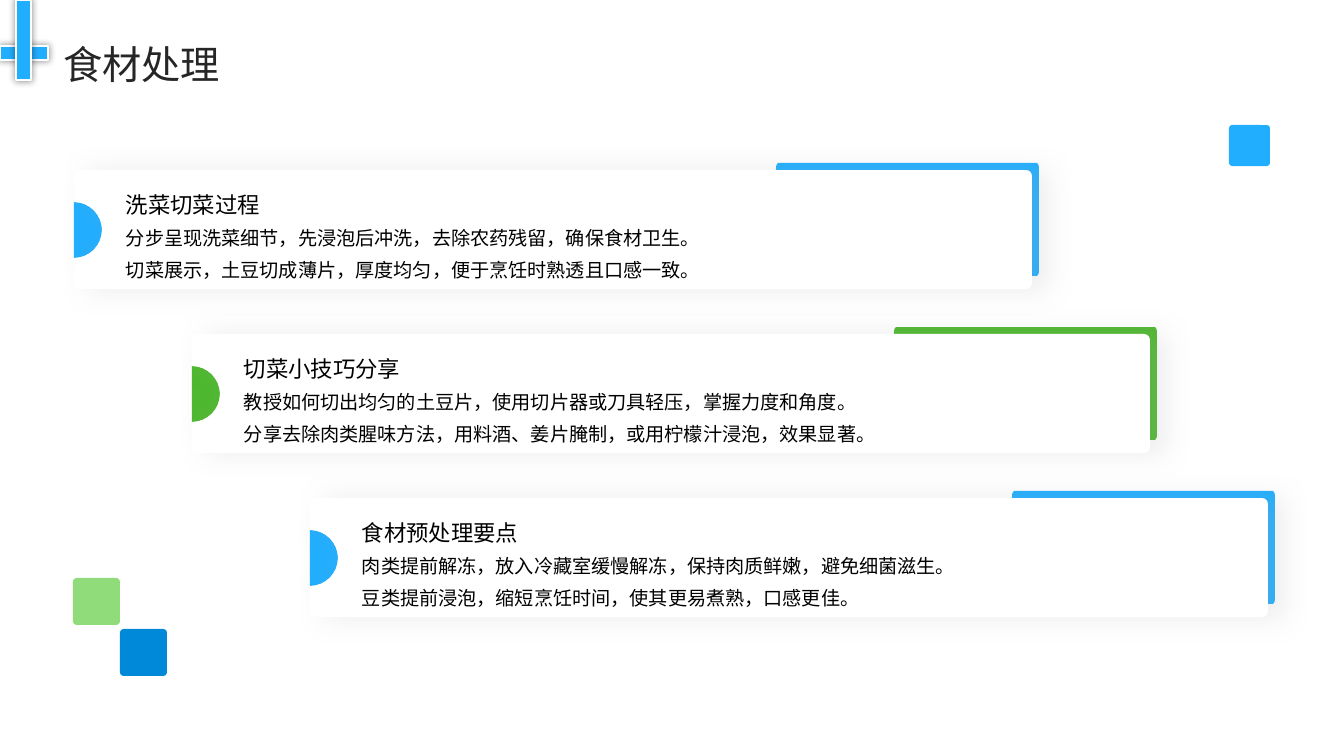
"""Builds the ingredient preparation slide with three stepped cards."""
import itertools
import math
from dataclasses import dataclass

import lxml.etree
import pptx
import pptx.dml.color
import pptx.enum.shapes
import pptx.enum.text
import pptx.oxml.ns
import pptx.util

TITLE = "食材处理"
CARDS = [
    ("洗菜切菜过程", "blue",
     ["分步呈现洗菜细节，先浸泡后冲洗，去除农药残留，确保食材卫生。",
      "切菜展示，土豆切成薄片，厚度均匀，便于烹饪时熟透且口感一致。"]),
    ("切菜小技巧分享", "green",
     ["教授如何切出均匀的土豆片，使用切片器或刀具轻压，掌握力度和角度。",
      "分享去除肉类腥味方法，用料酒、姜片腌制，或用柠檬汁浸泡，效果显著。"]),
    ("食材预处理要点", "blue",
     ["肉类提前解冻，放入冷藏室缓慢解冻，保持肉质鲜嫩，避免细菌滋生。",
      "豆类提前浸泡，缩短烹饪时间，使其更易煮熟，口感更佳。"]),
]
SQUARES = [(1229, 125, 41, "blue"), (73, 578, 47, "light_green"), (120, 629, 47, "dark_blue")]
CROSS_BARS = [(0, 46, 48, 14), (16, 0, 15, 80)]
CARD_LEFT, CARD_TOP, STEP_X, STEP_Y = 74, 170, 118, 164


@dataclass(frozen=True)
class Theme:
    """Holds the colours, font and type sizes."""
    blue: str = "22AEFF"
    green: str = "4EB830"
    light_green: str = "90DC7B"
    dark_blue: str = "0089D9"
    white: str = "FFFFFF"
    black: str = "000000"
    heading: str = "262626"
    card_shadow: str = "A6A6A6"
    font: str = "Noto Sans CJK SC"
    title_size: float = 28
    card_title_size: float = 16
    body_size: float = 13.7


THEME = Theme()
CARD_SHADOW = (THEME.card_shadow, 20, 20, 10)
BAR_SHADOW = (THEME.black, 40, 5, 0)
qn = pptx.oxml.ns.qn


def px(value):
    """Turns px into EMU."""
    return pptx.util.Emu(round(value * 914400 / 100.8))


def rgb(color):
    """Returns a colour object."""
    return pptx.dml.color.RGBColor.from_string(color)


def arc(center_x, center_y, radius_x, radius_y, *angles):
    """Lists a start point and one cubic curve for each quarter turn between the angles."""
    def at(angle, pull=0):
        cosine, sine = math.cos(math.radians(angle)), math.sin(math.radians(angle))
        return (center_x + radius_x * (cosine - pull * sine),
                center_y + radius_y * (sine + pull * cosine))

    segments = [(at(angles[0]),)]
    for start, end in itertools.pairwise(angles):
        pull = math.copysign(0.55, end - start)
        segments.append((at(start, pull), at(end, -pull), at(end)))
    return segments


def notched_panel(left, top, width, height, corner, notch, notch_center):
    """Lists the outline of a rounded panel with a half-round notch at its left."""
    corner_x, corner_y = corner
    near_x, far_x = left + corner_x, left + width - corner_x
    near_y, far_y = top + corner_y, top + height - corner_y
    return (arc(near_x, near_y, *corner, 180, 270) + arc(far_x, near_y, *corner, 270, 360)
            + arc(far_x, far_y, *corner, 0, 90) + arc(near_x, far_y, *corner, 90, 180)
            + arc(left, top + notch_center, *notch, 90, 0, -90))


def paint(shape, color, shadow=None, line=None):
    """Sets the fill, outline and shadow of a shape."""
    shape.fill.solid()
    shape.fill.fore_color.rgb = rgb(color)
    if line:
        shape.line.color.rgb = rgb(line)
        shape.line.width = pptx.util.Pt(2)
    else:
        shape.line.fill.background()
    shape.shadow.inherit = False
    if shadow:
        shadow_color, opacity, blur, distance = shadow
        effects = shape.element.spPr.find(qn("a:effectLst"))
        outer = lxml.etree.SubElement(
            effects, qn("a:outerShdw"), blurRad=str(pptx.util.Pt(blur)),
            dist=str(pptx.util.Pt(distance)), dir="0", algn="ctr", rotWithShape="0")
        tint = lxml.etree.SubElement(outer, qn("a:srgbClr"), val=shadow_color)
        lxml.etree.SubElement(tint, qn("a:alpha"), val=str(opacity * 1000))


def add_outline(slide, segments, color, shadow=None):
    """Draws a closed freeform, turning each three-point segment into a curve."""
    points = [(px(x), px(y)) for x, y in itertools.chain(*segments)]
    builder = slide.shapes.build_freeform(*points[0], scale=1.0)
    builder.add_line_segments(points[1:], close=True)
    shape = builder.convert_to_shape()
    lines = iter(list(shape.element.iter(qn("a:lnTo"))))
    for segment in segments[1:]:
        first, *others = itertools.islice(lines, len(segment))
        if others:
            first.tag = qn("a:cubicBezTo")
            for other in others:
                first.append(other[0])
                other.getparent().remove(other)
    paint(shape, color, shadow)


def add_box(slide, kind, left, top, width, height, color, shadow=None, line=None):
    """Draws a preset shape."""
    shape = slide.shapes.add_shape(kind, px(left), px(top), px(width), px(height))
    paint(shape, color, shadow, line)
    return shape


def write(shape, lines, size, color, spacing, anchor):
    """Writes lines into one paragraph without insets."""
    frame = shape.text_frame
    frame.auto_size = pptx.enum.text.MSO_AUTO_SIZE.NONE
    frame.word_wrap = True
    frame.vertical_anchor = anchor
    frame.margin_left = frame.margin_right = frame.margin_top = frame.margin_bottom = 0
    paragraph = frame.paragraphs[0]
    paragraph.alignment = pptx.enum.text.PP_ALIGN.LEFT
    paragraph.line_spacing = spacing
    paragraph.space_before = pptx.util.Pt(0)
    for index, line in enumerate(lines):
        if index:
            paragraph.add_line_break()
        run = paragraph.add_run()
        run.text = line
        run.font.size = pptx.util.Pt(size)
        run.font.color.rgb = rgb(color)
        run.font.name = THEME.font
        lxml.etree.SubElement(run._r.get_or_add_rPr(), qn("a:ea"), typeface=THEME.font)


def add_card(slide, left, top, heading, color, lines):
    """Draws a white card with its half disc, heading and text."""
    anchors = pptx.enum.text.MSO_ANCHOR
    add_outline(slide, arc(left, top + 60, 28, 28, -90, 0, 90), color, CARD_SHADOW)
    add_outline(slide, notched_panel(left, top, 958, 119, (6, 6), (28, 28), 60),
                THEME.white, CARD_SHADOW)
    heading_box = slide.shapes.add_textbox(px(left + 52), px(top + 14), px(886), px(34))
    write(heading_box, [heading], THEME.card_title_size, THEME.black, 1.1, anchors.BOTTOM)
    body_box = slide.shapes.add_textbox(px(left + 52), px(top + 47), px(886), px(62))
    write(body_box, lines, THEME.body_size, THEME.black, 1.4, anchors.TOP)


def main():
    """Builds and saves the slide."""
    shapes = pptx.enum.shapes.MSO_SHAPE
    presentation = pptx.Presentation()
    presentation.slide_width, presentation.slide_height = px(1344), px(756)
    slide = presentation.slides.add_slide(presentation.slide_layouts[5])

    title = slide.shapes.title
    title.left, title.top, title.width, title.height = px(63), px(26), px(1144), px(59)
    write(title, [TITLE], THEME.title_size, THEME.heading, 1.3, pptx.enum.text.MSO_ANCHOR.TOP)

    placed = [(CARD_LEFT + i * STEP_X, CARD_TOP + i * STEP_Y, heading,
               getattr(THEME, color), lines)
              for i, (heading, color, lines) in enumerate(CARDS)]
    for left, top, _, color, _ in reversed(placed):
        add_outline(slide, notched_panel(left + 702, top - 7, 263, 113, (2, 6), (8, 26), 56),
                    color)
    for card in placed:
        add_card(slide, *card)

    for left, top, side, color in SQUARES:
        square = add_box(slide, shapes.ROUNDED_RECTANGLE, left, top, side, side,
                         getattr(THEME, color))
        square.adjustments[0] = 0.08
    for bar in CROSS_BARS:
        add_box(slide, shapes.RECTANGLE, *bar, THEME.blue, BAR_SHADOW, THEME.white)

    presentation.save("out.pptx")


if __name__ == "__main__":
    main()
